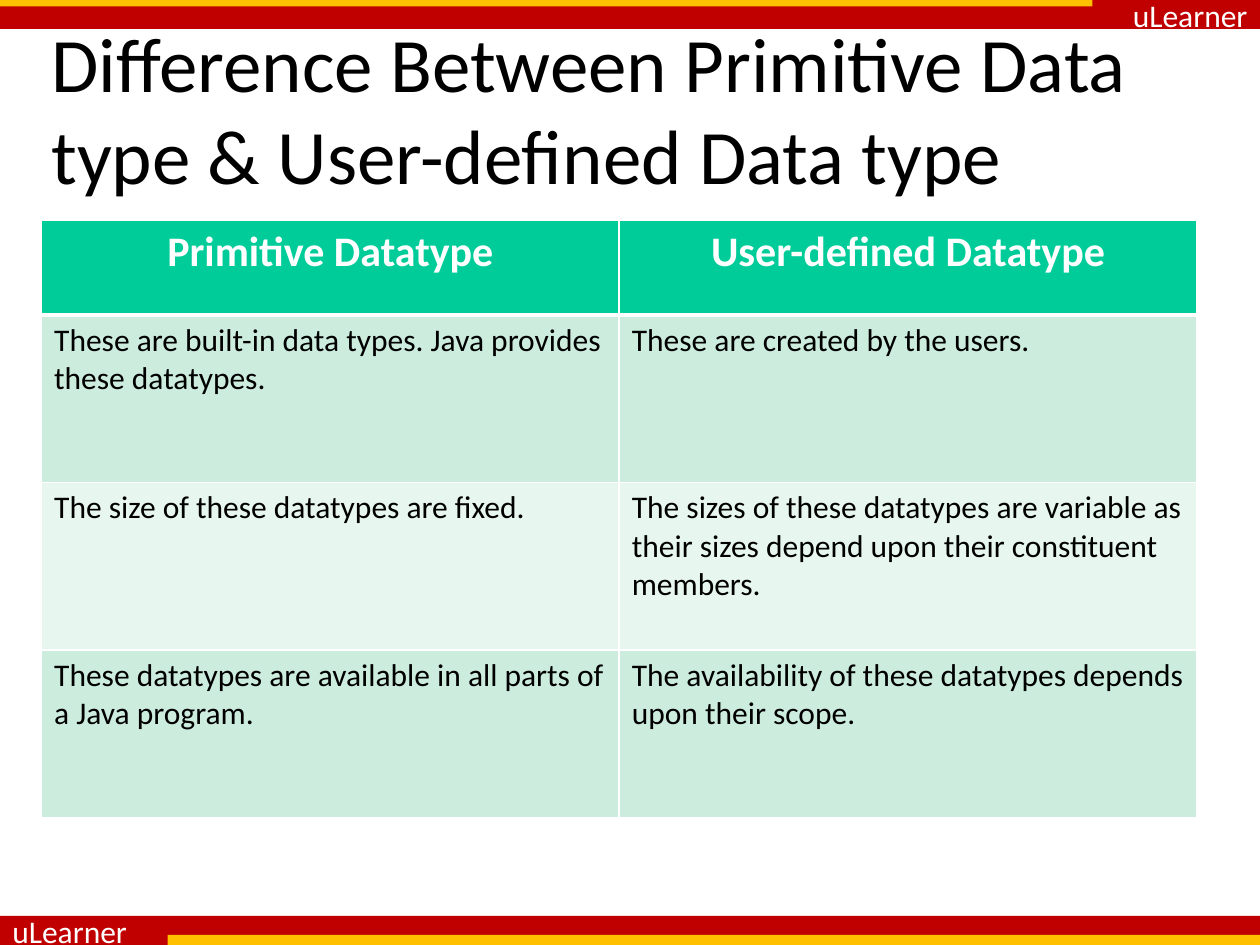
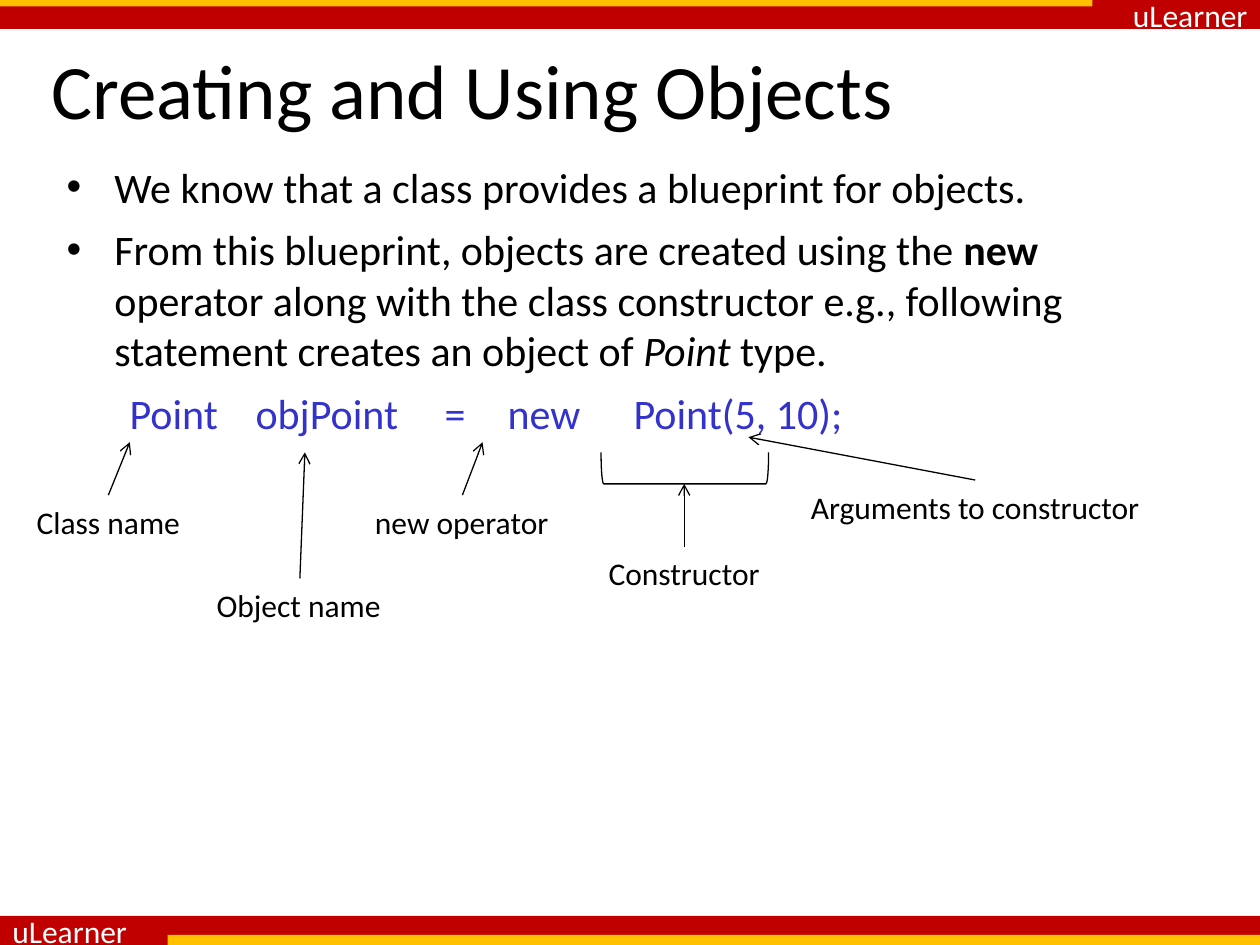
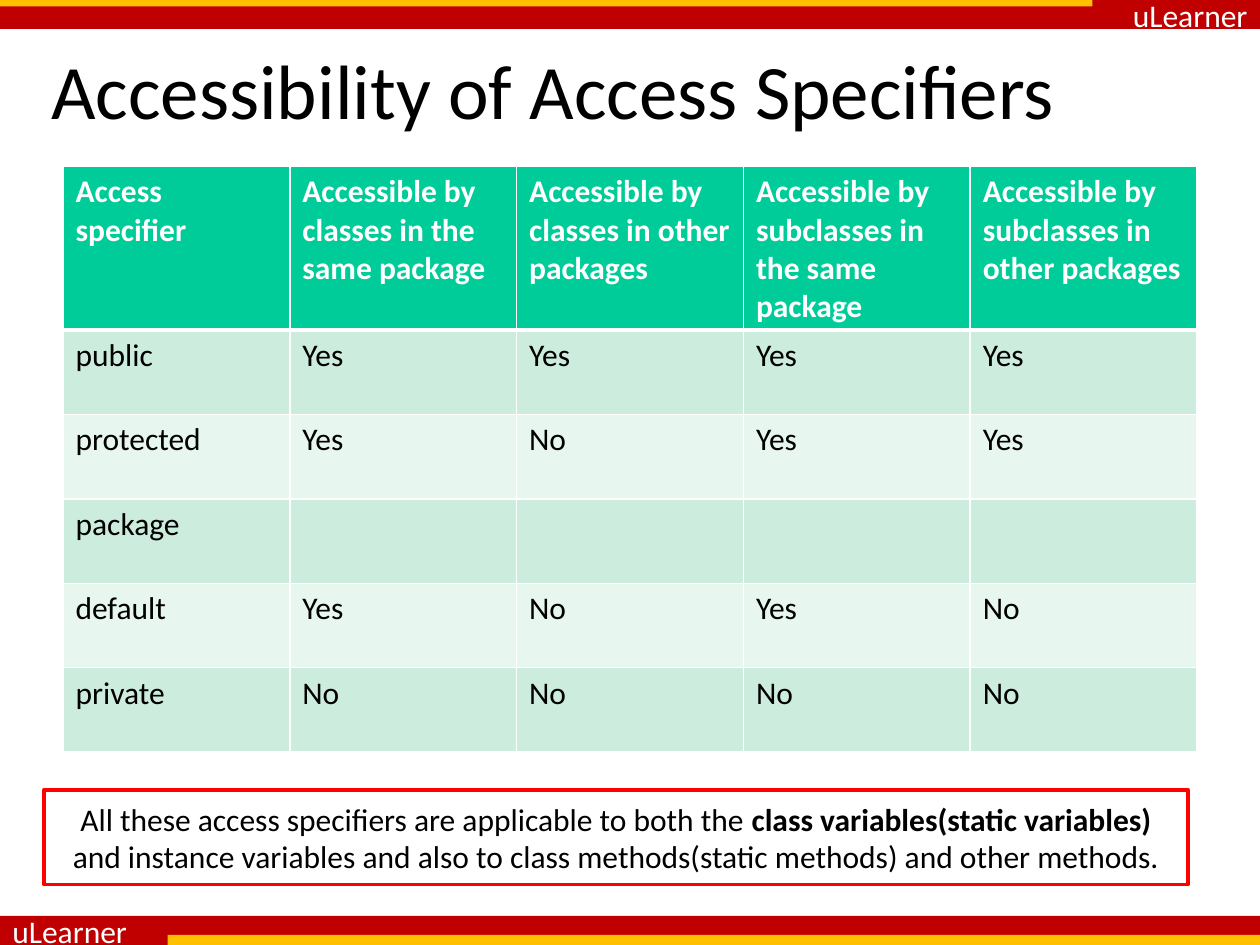
from lxml import etree
from pptx import Presentation, util as u
from pptx.dml.color import RGBColor
from pptx.enum import shapes, text
from pptx.oxml.ns import qn

WIDTH, HEIGHT = 10, 7.5
FONT = "Calibri"
BRAND = "uLearner"
COLORS = {
    "red": "C00000", "gold": "FFC000", "white": "FFFFFF", "black": "000000",
    "header": "00CC99", "odd": "CCECDE", "even": "E7F6EF",
    "code": "3333CC", "frame": "FF0000",
}
LEFT, CENTER, RIGHT = (text.PP_ALIGN.LEFT, text.PP_ALIGN.CENTER, text.PP_ALIGN.RIGHT)
MIDDLE, TOP = text.MSO_ANCHOR.MIDDLE, text.MSO_ANCHOR.TOP
RECTANGLE = shapes.MSO_SHAPE.RECTANGLE

# Content
DATATYPES = [
    ("Primitive Datatype", "User-defined Datatype"),
    ("These are built-in data types. Java provides these datatypes.",
     "These are created by the users."),
    ("The size of these datatypes are fixed.",
     "The sizes of these datatypes are variable as their sizes depend upon "
     "their constituent members."),
    ("These datatypes are available in all parts of a Java program.",
     "The availability of these datatypes depends upon their scope."),
]
ACCESS = [
    ("Access specifier", "Accessible by classes in the same package",
     "Accessible by classes in other packages",
     "Accessible by subclasses in the same package",
     "Accessible by subclasses in other packages"),
    ("public", "Yes", "Yes", "Yes", "Yes"),
    ("protected", "Yes", "No", "Yes", "Yes"),
    ("package", "", "", "", ""),
    ("default", "Yes", "No", "Yes", "No"),
    ("private", "No", "No", "No", "No"),
]
# Runs are (wording, style); style is "", "bold" or "italic"
BULLETS = [
    [("We know that a class provides a blueprint for objects.", "")],
    [("From this blueprint, objects are created using the ", ""), ("new", "bold"),
     (" operator along with the class constructor e.g., following statement "
      "creates an object of ", ""), ("Point", "italic"), (" type.", "")],
]
STATEMENT = "\tPoint\tobjPoint\t=\tnew\tPoint(5, 10);"
STATEMENT_STOPS = (0.38, 1.53, 2.81, 3.13, 4.08)
INDENT = 0.38
# Label, its box (left, top, width), arrow start and arrow tip
CALLOUTS = [
    ("Class name", (0.11, 3.93, 1.5), (0.86, 3.93), (1.03, 3.51)),
    ("Object name", (1.58, 4.59, 1.58), (2.38, 4.59), (2.42, 3.59)),
    ("new operator", (2.83, 3.93, 1.67), (3.67, 3.93), (3.83, 3.51)),
    ("Constructor", (4.68, 4.34, 1.5), (5.43, 4.34), (5.43, 3.84)),
    ("Arguments to constructor", (6.28, 3.81, 2.92), (7.74, 3.81), (5.94, 3.47)),
]
LABEL_HEIGHT = 0.42
NOTE = [
    ("All these access specifiers are applicable to both the ", ""),
    ("class variables(static variables)", "bold"),
    (" and instance variables and also to class methods(static methods) "
     "and other methods.", ""),
]


def rgb(name):
    return RGBColor.from_string(COLORS[name])


def inches(values):
    return [u.Inches(value) for value in values]


# Text
def write(para, runs, size, color="black", align=LEFT):
    para.alignment = align
    for wording, style in runs:
        span = para.add_run()
        span.text = wording
        span.font.name, span.font.size = FONT, u.Pt(size)
        span.font.color.rgb = rgb(color)
        span.font.bold = style == "bold"
        span.font.italic = style == "italic"


def add_text(slide, place, anchor):
    frame = slide.shapes.add_textbox(*inches(place)).text_frame
    frame.word_wrap, frame.vertical_anchor = True, anchor
    return frame


def set_margin(para, left, hanging):
    props = para._p.get_or_add_pPr()
    props.set("marL", str(u.Inches(left)))
    props.set("indent", str(u.Inches(hanging)))
    return props


# Shapes and lines
def add_box(slide, place, fill=None, line=None, weight=1, kind=RECTANGLE):
    box = slide.shapes.add_shape(kind, *inches(place))
    box.shadow.inherit = False
    if fill:
        box.fill.solid()
        box.fill.fore_color.rgb = rgb(fill)
    else:
        box.fill.background()
    if line:
        box.line.color.rgb = rgb(line)
        box.line.width = u.Pt(weight)
    else:
        box.line.fill.background()
    box.text_frame.vertical_anchor = MIDDLE
    return box


def add_arrow(slide, start, tip):
    arrow = slide.shapes.add_connector(
        shapes.MSO_CONNECTOR.STRAIGHT, *inches(start + tip))
    arrow.line.color.rgb = rgb("black")
    arrow.line.width = u.Pt(0.75)
    etree.SubElement(arrow.line._get_or_add_ln(), qn("a:tailEnd"), type="arrow")
    etree.SubElement(arrow._element.spPr, qn("a:effectLst"))


# Tables
def set_borders(cell, weights):
    props = cell._tc.get_or_add_tcPr()
    for index, (side, weight) in enumerate(weights.items()):
        line = etree.Element(qn("a:ln" + side), w=str(u.Pt(weight)))
        fill = etree.SubElement(line, qn("a:solidFill"))
        etree.SubElement(fill, qn("a:srgbClr"), val=COLORS["white"])
        props.insert(index, line)


def add_table(slide, rows, place, heights, header_size, header_align):
    left, top, width = place
    table = slide.shapes.add_table(
        len(rows), len(rows[0]), *inches((left, top, width, sum(heights)))).table
    for row, height in zip(table.rows, heights):
        row.height = u.Inches(height)
    for r, row in enumerate(rows):
        for c, wording in enumerate(row):
            cell = table.cell(r, c)
            cell.fill.solid()
            cell.fill.fore_color.rgb = rgb(
                "header" if r == 0 else "odd" if r % 2 else "even")
            set_borders(cell, {"L": 1, "R": 1, "T": 3 if r == 1 else 1,
                               "B": 3 if r == 0 else 1})
            para = cell.text_frame.paragraphs[0]
            if not wording:
                continue
            if r == 0:
                write(para, [(wording, "bold")], header_size, "white", header_align)
            else:
                write(para, [(wording, "")], 18)


# Frame shared by all slides
def add_slide(deck, title, title_top=0.29):
    slide = deck.slides.add_slide(deck.slide_layouts[6])
    band, gold_width = 0.23, 8.67
    bands = [(0, RIGHT, (0, 0, gold_width, 0.05)),
             (HEIGHT - band, LEFT, (WIDTH - gold_width, 7.42, gold_width, 0.08))]
    for top, align, gold in bands:
        box = add_box(slide, (0, top, WIDTH, band), "red")
        box.text_frame.word_wrap = False
        write(box.text_frame.paragraphs[0], [(BRAND, "")], 18, "white", align)
        add_box(slide, gold, "gold")
    frame = add_text(slide, (0.31, title_top, 9.33, 0.83), MIDDLE)
    write(frame.paragraphs[0], [(title, "")], 44)
    return slide


def build_datatypes(deck):
    slide = add_slide(
        deck, "Difference Between Primitive Data type & User-defined Data type", 0.44)
    add_table(slide, DATATYPES, (0.33, 1.75, 9.17), [0.75] + [1.33] * 3, 24, CENTER)


def build_objects(deck):
    slide = add_slide(deck, "Creating and Using Objects")
    frame = add_text(slide, (0.43, 1.23, 9, 5.67), TOP)
    for index, runs in enumerate(BULLETS):
        para = frame.add_paragraph() if index else frame.paragraphs[0]
        write(para, runs, 24)
        para.space_before = u.Pt(7)
        props = set_margin(para, INDENT, -INDENT)
        etree.SubElement(props, qn("a:buFont"), typeface="Arial")
        etree.SubElement(props, qn("a:buChar"), char="•")

    # Code statement, its words held by tab stops
    para = frame.add_paragraph()
    write(para, [(STATEMENT, "")], 24, "code")
    para.space_before = u.Pt(7)
    props = set_margin(para, 0, 0)
    etree.SubElement(props, qn("a:buNone"))
    stops = etree.SubElement(props, qn("a:tabLst"))
    for stop in STATEMENT_STOPS:
        etree.SubElement(stops, qn("a:tab"), pos=str(u.Inches(stop)), algn="l")

    # Labels, then the arrows and bracket over them
    for label, place, _, _ in CALLOUTS:
        box = add_box(slide, place + (LABEL_HEIGHT,), "white")
        write(box.text_frame.paragraphs[0], [(label, "")], 18, align=CENTER)
    for _, _, start, tip in CALLOUTS:
        add_arrow(slide, start, tip)
    bracket = add_box(slide, (5.31, 3.05, 0.25, 1.33), line="black", weight=0.75,
                      kind=shapes.MSO_SHAPE.RIGHT_BRACKET)
    bracket.rotation = 90


def build_access(deck):
    slide = add_slide(deck, "Accessibility of Access Specifiers")
    add_table(slide, ACCESS, (0.5, 1.32, 9), [0.67] * len(ACCESS), 18, LEFT)
    note = add_box(slide, (0.35, 6.27, 9.08, 0.75), line="frame", weight=2)
    write(note.text_frame.paragraphs[0], NOTE, 18, align=CENTER)


def main():
    deck = Presentation()
    deck.slide_width, deck.slide_height = inches((WIDTH, HEIGHT))
    build_datatypes(deck)
    build_objects(deck)
    build_access(deck)
    deck.save("out.pptx")


if __name__ == "__main__":
    main()
